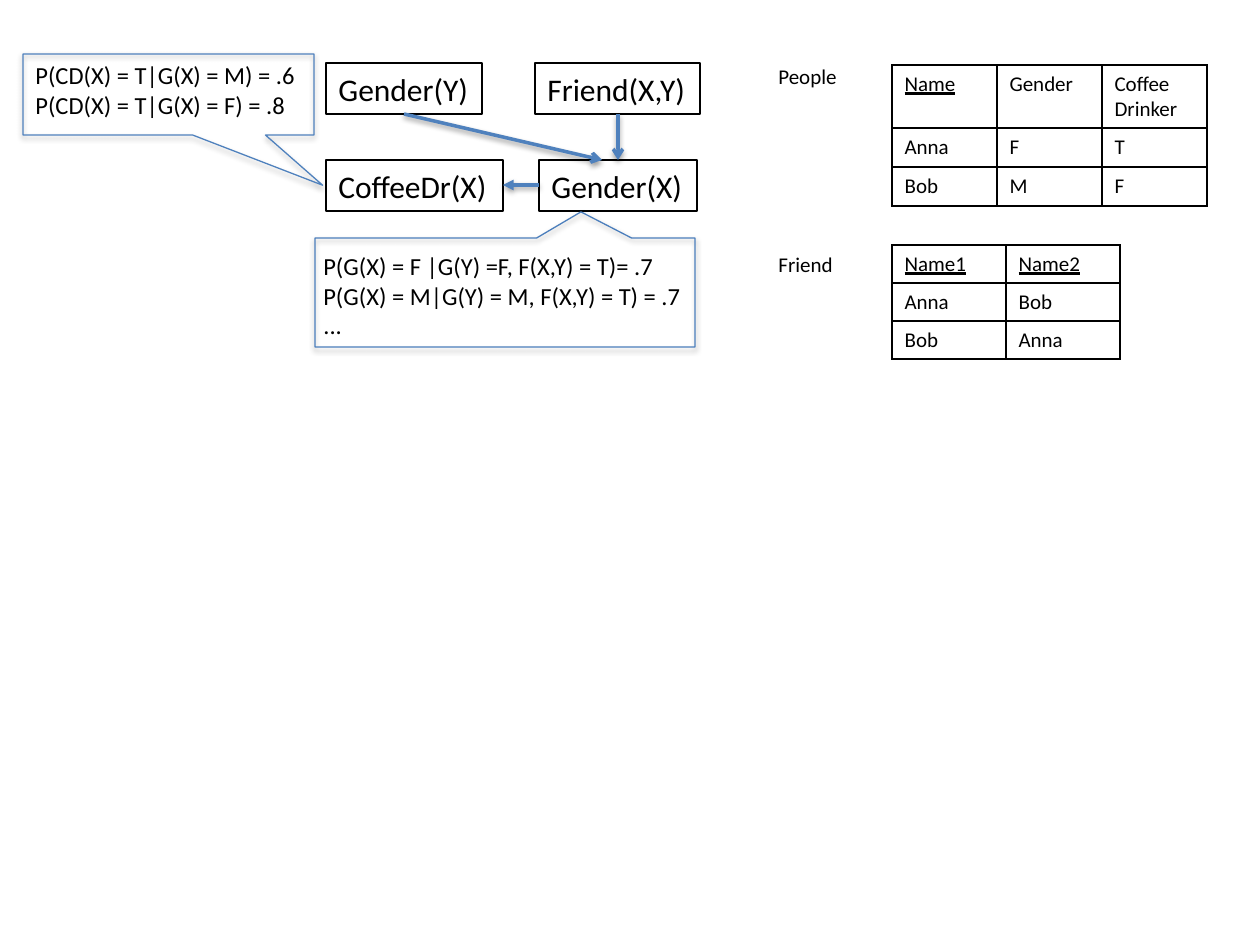
"""Build a slide showing a Bayesian network beside its People and Friend tables."""
from lxml import etree
from pptx import Presentation
from pptx.dml.color import RGBColor
from pptx.enum.shapes import MSO_CONNECTOR, MSO_SHAPE
from pptx.enum.text import MSO_ANCHOR, PP_ALIGN
from pptx.oxml import parse_xml
from pptx.oxml.ns import qn
from pptx.util import Emu, Pt

RECT = MSO_SHAPE.RECTANGLE
CALLOUT = MSO_SHAPE.RECTANGULAR_CALLOUT
STRAIGHT = MSO_CONNECTOR.STRAIGHT
MIDDLE = MSO_ANCHOR.MIDDLE
LEFT = PP_ALIGN.LEFT
NS = 'xmlns:a="http://schemas.openxmlformats.org/drawingml/2006/main"'
COLORS = {"ink": "000000", "arrow": "4F81BD", "callout": "4B7EBC"}


class NetworkSlide:
    """Hold the style and the current slide."""

    scale = 914400 / 126
    font = "Calibri"

    def __init__(self, slide):
        self.slide = slide

    def emu(self, *lengths):
        return [Emu(round(length * self.scale)) for length in lengths]

    def fill_text(self, frame, lines, size, underline=None):
        frame.text = lines
        for paragraph in frame.paragraphs:
            paragraph.alignment = LEFT
            paragraph.font.name = self.font
            paragraph.font.size = Pt(size)
            paragraph.font.bold = False
            paragraph.font.underline = underline
            paragraph.font.color.rgb = RGBColor.from_string(COLORS["ink"])

    def outline(self, line, color, width):
        line.color.rgb = RGBColor.from_string(COLORS[color])
        line.width = Pt(width)

    def shade(self, shape, alpha, distance):
        shape._element.spPr.append(parse_xml(
            f'<a:effectLst {NS}><a:outerShdw blurRad="40000" dist="{distance}" '
            f'dir="5400000" rotWithShape="0"><a:srgbClr val="{COLORS["ink"]}">'
            f'<a:alpha val="{alpha}000"/></a:srgbClr></a:outerShdw></a:effectLst>'))

    def node(self, label, *box):
        shape = self.slide.shapes.add_shape(RECT, *self.emu(*box))
        shape.fill.background()
        shape.shadow.inherit = False
        self.outline(shape.line, "ink", 0.75)
        shape.text_frame.word_wrap = False
        self.fill_text(shape.text_frame, label, 18)

    def arrow(self, start, end, head="arrow"):
        edge = self.slide.shapes.add_connector(STRAIGHT, *self.emu(*start, *end))
        self.outline(edge.line, "arrow", 2)
        etree.SubElement(edge._element.spPr.find(qn("a:ln")), qn("a:tailEnd"), type=head)
        self.shade(edge, 38, 20000)

    def callout(self, box, pointer, color):
        shape = self.slide.shapes.add_shape(CALLOUT, *self.emu(*box))
        shape.adjustments[0], shape.adjustments[1] = pointer
        shape.fill.background()
        self.outline(shape.line, color, 0.75)
        self.shade(shape, 35, 23000)

    def text(self, lines, size, *box):
        frame = self.slide.shapes.add_textbox(*self.emu(*box)).text_frame
        frame.word_wrap = True
        self.fill_text(frame, lines, size)

    def table(self, records, left, top, column, heights, keys):
        width = column * len(records[0])
        grid = self.slide.shapes.add_table(
            len(records), len(records[0]),
            *self.emu(left, top, width, sum(heights))).table
        for field in grid.columns:
            field.width = self.emu(column)[0]
        for r, record in enumerate(records):
            grid.rows[r].height = self.emu(heights[r])[0]
            for c, value in enumerate(record):
                cell = grid.cell(r, c)
                self.fill_text(cell.text_frame, value, 12, r == 0 and value in keys)
                if "\v" in value:
                    cell.vertical_anchor = MIDDLE
                self.borders(cell)
                cell.fill.background()

    def borders(self, cell):
        properties = cell._tc.get_or_add_tcPr()
        for side in "LRTB":
            properties.append(parse_xml(
                f'<a:ln{side} {NS} w="12700"><a:solidFill>'
                f'<a:srgbClr val="{COLORS["ink"]}"/></a:solidFill></a:ln{side}>'))


def main():
    deck = Presentation()
    page = NetworkSlide(deck.slides.add_slide(deck.slide_layouts[6]))
    deck.slide_width, deck.slide_height = page.emu(1260, 945)

    page.node("CoffeeDr(X)", 326, 160, 177, 51)
    page.node("Friend(X,Y)", 535, 63, 165, 51)
    page.node("Gender(X)", 539, 160, 158, 51)
    page.node("Gender(Y)", 326, 63, 156, 51)
    page.arrow((618, 114), (618, 160))
    page.arrow((539, 185), (503, 185), "triangle")
    page.arrow((404, 114), (602, 160))

    page.text("P(G(X) = F |G(Y) =F, F(X,Y) = T)= .7\n"
              "P(G(X) = M|G(Y) = M, F(X,Y) = T) = .7\n...",
              14, 311, 245, 392, 102)
    page.callout((315, 238, 380, 109), (0.2, -0.74), "callout")
    page.text("P(CD(X) = T|G(X) = M) = .6\nP(CD(X) = T|G(X) = F) = .8",
              14, 23, 54, 304, 72)
    page.callout((23, 54, 291, 81), (0.53, 1.12), "arrow")

    page.text("People", 12, 766, 57, 94, 38)
    page.table([["Name", "Gender", "Coffee\vDrinker"],
                ["Anna", "F", "T"],
                ["Bob", "M", "F"]],
               892, 65, 105, [63, 39, 39], {"Name"})
    page.text("Friend", 12, 766, 245, 94, 38)
    page.table([["Name1", "Name2"], ["Anna", "Bob"], ["Bob", "Anna"]],
               892, 245, 114, [38, 38, 38], {"Name1", "Name2"})
    deck.save("out.pptx")


if __name__ == "__main__":
    main()
